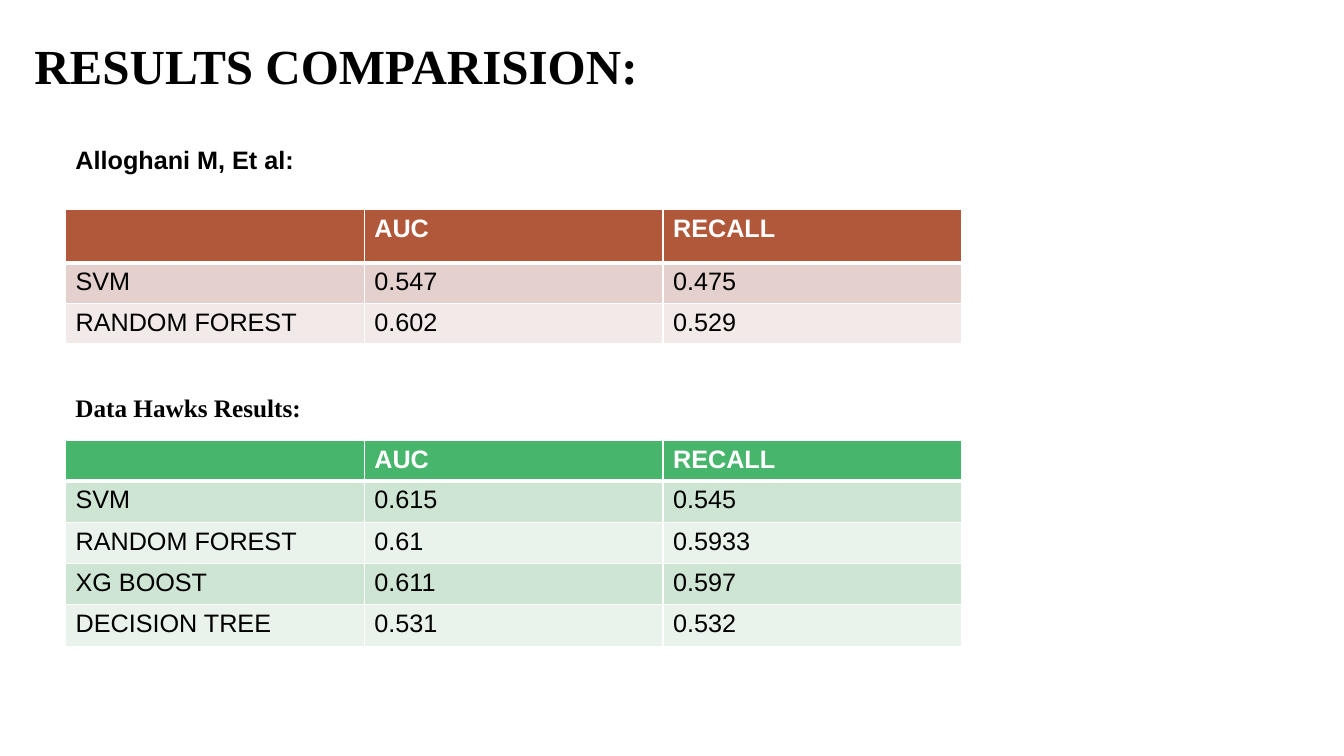
import pptx
import pptx.util
import pptx.dml.color
import pptx.enum.text
import pptx.oxml
import pptx.oxml.ns
import lxml.etree
from dataclasses import dataclass

Inches = pptx.util.Inches


@dataclass(frozen=True)
class Theme:
    serif: str = "Times New Roman"
    sans: str = "Arial"
    title_size: int = 35
    body_size: int = 18
    ink: str = "000000"
    paper: str = "FFFFFF"
    thin_rule: int = 1
    header_rule: int = 3
    # header fill, odd row fill, even row fill
    rust: tuple = ("B1583B", "E4D1CE", "F2EAE8")
    green: tuple = ("47B56C", "CFE5D4", "E9F3EB")


THEME = Theme()

HEADINGS = ("", "AUC", "RECALL")
ALLOGHANI_SCORES = (
    ("SVM", "0.547", "0.475"),
    ("RANDOM FOREST", "0.602", "0.529"),
)
DATA_HAWKS_SCORES = (
    ("SVM", "0.615", "0.545"),
    ("RANDOM FOREST", "0.61", "0.5933"),
    ("XG BOOST", "0.611", "0.597"),
    ("DECISION TREE", "0.531", "0.532"),
)


def rgb(value):
    return pptx.dml.color.RGBColor.from_string(value)


def write(frame, text, font, size, color, bold):
    """Put one formatted line of text into a frame."""
    paragraph = frame.paragraphs[0]
    paragraph.alignment = pptx.enum.text.PP_ALIGN.LEFT
    run = paragraph.add_run()
    run.text = text
    run.font.color.rgb = rgb(color)
    for name, value in {"name": font, "size": pptx.util.Pt(size), "bold": bold}.items():
        setattr(run.font, name, value)


def rule_cell(cell, widths):
    """Draw the cell borders; widths maps each side (L, R, T, B) to points."""
    properties = cell._tc.get_or_add_tcPr()
    for index, (side, width) in enumerate(widths.items()):
        border = pptx.oxml.parse_xml(
            f'<a:ln{side} {pptx.oxml.ns.nsdecls("a")} w="{pptx.util.Pt(width)}">'
            f'<a:solidFill><a:srgbClr val="{THEME.paper}"/></a:solidFill></a:ln{side}>'
        )
        properties.insert(index, border)


def add_heading(slide, text, left, top, width, height):
    """Place the slide title."""
    heading = slide.shapes.title
    box = {"left": left, "top": top, "width": width, "height": height}
    for name, value in box.items():
        setattr(heading, name, Inches(value))
    frame = heading.text_frame
    layout = {
        "auto_size": pptx.enum.text.MSO_AUTO_SIZE.NONE,
        "vertical_anchor": pptx.enum.text.MSO_ANCHOR.BOTTOM,
        "word_wrap": True,
    }
    for name, value in layout.items():
        setattr(frame, name, value)
    write(frame, text, THEME.serif, THEME.title_size, THEME.ink, True)


def add_caption(slide, text, font, left, top, width=6.09, height=0.4):
    """Place the label above a score table."""
    caption = slide.shapes.add_textbox(*map(Inches, (left, top, width, height)))
    caption.text_frame.word_wrap = True
    write(caption.text_frame, text, font, THEME.body_size, THEME.ink, True)


def add_scores(slide, scores, fills, left, top, width, header_height, row_height):
    """Place a score table with a header and alternating rows."""
    rows = (HEADINGS,) + scores
    height = header_height + row_height * len(scores)
    table = slide.shapes.add_table(
        len(rows), len(HEADINGS), *map(Inches, (left, top, width, height))
    ).table
    for column in table.columns:
        column.width = Inches(width / len(HEADINGS))

    for r, row in enumerate(rows):
        is_header = r == 0
        table.rows[r].height = Inches(header_height if is_header else row_height)
        fill = fills[0] if is_header else fills[2 - r % 2]
        widths = dict.fromkeys("LRTB", THEME.thin_rule)
        if is_header:
            widths["B"] = THEME.header_rule
        elif r == 1:
            widths["T"] = THEME.header_rule
        for c, text in enumerate(row):
            cell = table.cell(r, c)
            cell.fill.solid()
            cell.fill.fore_color.rgb = rgb(fill)
            rule_cell(cell, widths)
            if text:
                color = THEME.paper if is_header else THEME.ink
                write(cell.text_frame, text, THEME.sans, THEME.body_size, color, is_header)


def add_comparison(slide):
    """Lay out the title and both captioned tables."""
    left, width = 0.65, 8.89
    add_heading(slide, "RESULTS COMPARISION:", 0.24, 0.3, 6.25, 0.69)

    # Published results
    add_caption(slide, "Alloghani M, Et al:", THEME.sans, left, 1.38)
    add_scores(slide, ALLOGHANI_SCORES, THEME.rust, left, 2.08, width, 0.53, 0.4)

    # Team results
    add_caption(slide, "Data Hawks Results:", THEME.serif, left, 3.84)
    add_scores(slide, DATA_HAWKS_SCORES, THEME.green, left, 4.37, width, 0.39, 0.41)


def main():
    deck = pptx.Presentation()
    deck.slide_width, deck.slide_height = Inches(13.33), Inches(7.5)
    title_only = deck.slide_layouts[5]
    add_comparison(deck.slides.add_slide(title_only))
    deck.save("out.pptx")


if __name__ == "__main__":
    main()
